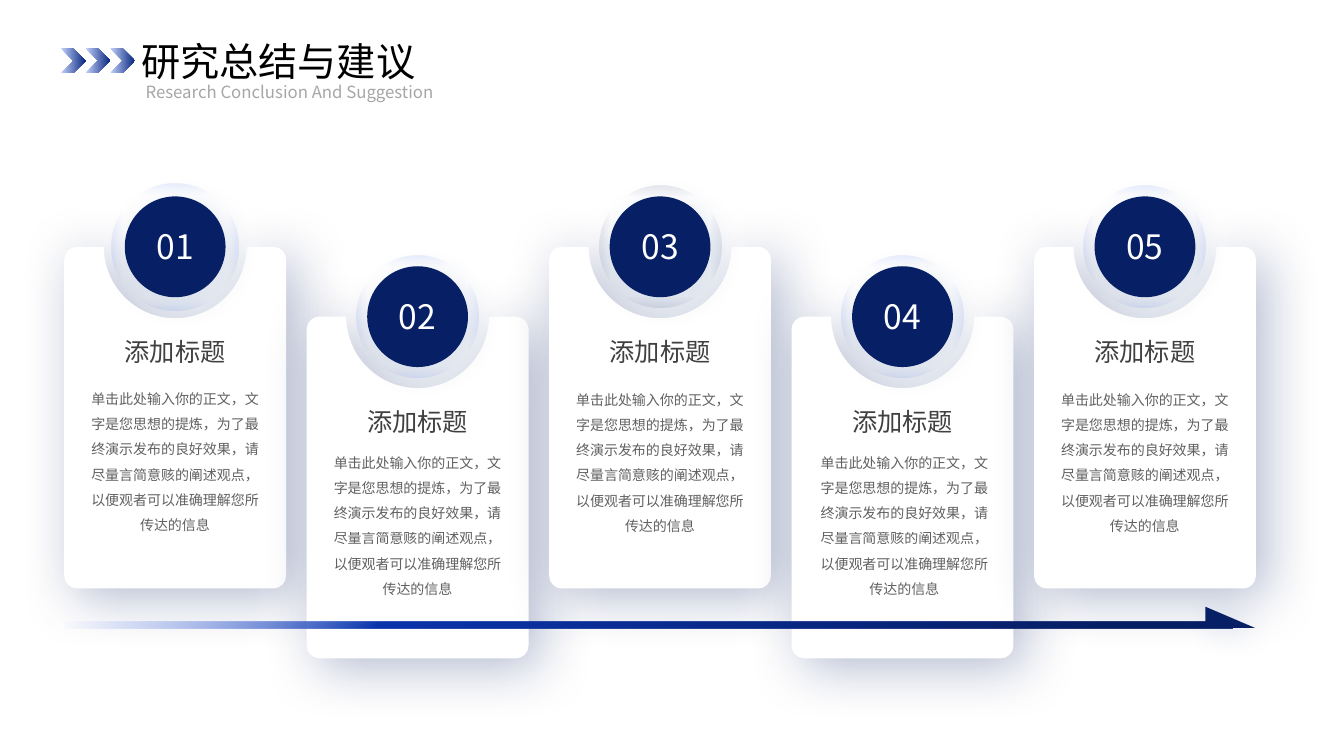
from lxml.etree import SubElement
from pptx import Presentation
from pptx.dml.color import RGBColor
from pptx.enum.shapes import MSO_SHAPE as SHAPE
from pptx.enum.text import MSO_ANCHOR as ANCHOR, MSO_AUTO_SIZE as FIT, PP_ALIGN as ALIGN
from pptx.oxml.ns import qn
from pptx.util import Cm, Pt

TITLE = "研究总结与建议"
SUB = "Research Conclusion And Suggestion"
HEAD = "添加标题"
BODY = ("单击此处输入你的正文，文字是您思想的提炼，为了最终演示发布的良好效果，"
        "请尽量言简意赅的阐述观点，以便观者可以准确理解您所传达的信息")

NAVY, WHITE, FONT = "071F65", "FFFFFF", "Noto Sans CJK SC"
# Gradient stops: position %, colour, opacity %
CHEVRON = [(0, "C3D1FB", 100), (100, "09277F", 100)]
BLUE = [(81, "708EEE", 0), (100, "2254F4", 10)]
DARK = [(81, NAVY, 0), (100, NAVY, 10)]
BAR = [(0, "7898F6", 0), (27, "0C35AC", 100), (89, NAVY, 100)]
# Shadows: colour, blur pt, opacity %, distance pt, angle
DEEP = (NAVY, 40, 29, 10, 40)
SOFT = ("0A438C", 20, 12, 6, 45)
# Cards: number, ring diameter, ring stops, body top, body shift (cm)
CARDS = [("01", 3.2, BLUE, 3.28, 0), ("02", 3.07, BLUE, 4.89, 0),
         ("03", 3.07, DARK, 3.3, 0), ("04", 3.07, BLUE, 4.89, 0.05),
         ("05", 3.07, BLUE, 3.3, 0)]
LEFT, TOP, WIDE, HIGH, STEP, DROP = 1.62, 6.22, 5.59, 8.61, 6.11, 1.76
ROUND, NOTCH, DISC = 0.32, 1.8, 2.54
BEND = 0.55  # control point share for a quarter circle

deck = Presentation()
deck.slide_width, deck.slide_height = Cm(33.87), Cm(19.05)
slide = deck.slides.add_slide(deck.slide_layouts[5])
shapes = slide.shapes


def rgb(code):
    return RGBColor.from_string(code)


def tint(parent, code, alpha):
    color = SubElement(parent, qn("a:srgbClr"), val=code)
    if alpha < 100:
        SubElement(color, qn("a:alpha"), val=str(alpha * 1000))


def blend(shape, stops, kind=None, focus=(0, 0, 0, 0)):
    """Fill with a gradient: linear, or a path kind around a focus box."""
    props = shape._element.spPr
    old = props.find(qn("a:solidFill"))
    grad = old.makeelement(qn("a:gradFill"), {"rotWithShape": "1"})
    props.replace(old, grad)
    rows = SubElement(grad, qn("a:gsLst"))
    for pos, code, alpha in stops:
        tint(SubElement(rows, qn("a:gs"), pos=str(pos * 1000)), code, alpha)
    if kind:
        way = SubElement(grad, qn("a:path"), path=kind)
        sides = {k: str(v * 1000) for k, v in zip("ltrb", focus)}
        SubElement(way, qn("a:fillToRect"), sides)
    else:
        SubElement(grad, qn("a:lin"), ang="0", scaled="0")


def style(shape, code=NAVY, shade=None):
    shape.fill.solid()
    shape.fill.fore_color.rgb = rgb(code)
    shape.line.fill.background()
    shape.shadow.inherit = False
    if shade:
        color, blur, alpha, dist, angle = shade
        effects = shape._element.spPr.find(qn("a:effectLst"))
        outer = SubElement(effects, qn("a:outerShdw"), blurRad=str(Pt(blur)),
                           dist=str(Pt(dist)), dir=str(angle * 60000),
                           algn="tl", rotWithShape="0")
        tint(outer, color, alpha)
    return shape


def draw(kind, x, y, w, h, shade=None):
    return style(shapes.add_shape(kind, Cm(x), Cm(y), Cm(w), Cm(h)), shade=shade)


def disc(x, y, size, shade=None):
    return draw(SHAPE.OVAL, x - size / 2, y - size / 2, size, size, shade)


def write(box, text, size, code, align, space=None, alpha=100, inset=None):
    frame = box.text_frame
    look = {"word_wrap": True, "auto_size": FIT.SHAPE_TO_FIT_TEXT,
            "vertical_anchor": ANCHOR.TOP}
    if inset is not None:
        look.update(margin_left=inset, margin_right=inset)
    for key, value in look.items():
        setattr(frame, key, value)
    para = frame.paragraphs[0]
    para.alignment, para.line_spacing = align, space
    run = para.add_run()
    run.text = text
    for key, value in {"size": Pt(size), "name": FONT}.items():
        setattr(run.font, key, value)
    run.font.color.rgb = rgb(code)
    props = run._r.get_or_add_rPr()
    if alpha < 100:
        SubElement(props.find(".//" + qn("a:srgbClr")), qn("a:alpha"),
                   val=str(alpha * 1000))
    east = props.makeelement(qn("a:ea"), {"typeface": FONT})
    props.find(qn("a:latin")).addnext(east)


def label(x, y, w, h, *args, **more):
    write(shapes.add_textbox(Cm(x), Cm(y), Cm(w), Cm(h)), *args, **more)


def card(x, y):
    """Rounded card with a half-round notch in its top side."""
    mid, r = WIDE / 2, ROUND
    a, b = mid - NOTCH, mid + NOTCH
    # Each step: end point, and the corner it bends around if curved
    steps = [((r, 0), None), ((a, 0), None),
             ((mid, NOTCH), (a, NOTCH)), ((b, 0), (b, NOTCH)),
             ((WIDE - r, 0), None), ((WIDE, r), (WIDE, 0)),
             ((WIDE, HIGH - r), None), ((WIDE - r, HIGH), (WIDE, HIGH)),
             ((r, HIGH), None), ((0, HIGH - r), (0, HIGH)),
             ((0, r), None), ((r, 0), (0, 0))]
    dots = [(Cm(x + u), Cm(y + v)) for (u, v), _ in steps]
    form = shapes.build_freeform(*dots[0])
    form.add_line_segments(dots[1:], close=True)
    shape = style(form.convert_to_shape(), WHITE, DEEP)
    lines = list(shape._element.iter(qn("a:lnTo")))
    for line, (start, _), (end, turn) in zip(lines, steps, steps[1:]):
        if turn:
            curve = line.makeelement(qn("a:cubicBezTo"), {})
            for p in (start, end):
                u, v = (m + BEND * (n - m) for m, n in zip(p, turn))
                SubElement(curve, qn("a:pt"), x=str(Cm(u)), y=str(Cm(v)))
            curve.append(line[0])
            line.getparent().replace(line, curve)


for i in range(3):
    blend(draw(SHAPE.CHEVRON, 1.54 + 0.62 * i, 1.22, 0.62, 0.62), CHEVRON)

title = shapes.title
spot = {"left": 3.56, "top": 0.81, "width": 8.81, "height": 1.45}
for key, value in spot.items():
    setattr(title, key, Cm(value))
write(title, TITLE, 28, "000000", ALIGN.JUSTIFY, inset=0)
label(3.67, 1.93, 10.44, 0.76, SUB, 12, "A6A6A6", ALIGN.LEFT, inset=0)

for i, (num, ring, stops, drop, shift) in enumerate(CARDS):
    x, y = LEFT + STEP * i, TOP + DROP * (i % 2)
    mid = x + WIDE / 2
    card(x, y)
    blend(disc(mid, y, ring), stops, "shape", (50, 50, 50, 50))
    disc(mid, y, DISC, SOFT)
    label(mid - 2.03, y + 2.14, 4.06, 1.02, HEAD, 18, "404040", ALIGN.CENTER)
    label(mid - 0.99, y - 0.65, 1.98, 1.27, num, 24, WHITE, ALIGN.CENTER)
    label(mid - 2.42 + shift, TOP + drop, 4.83, 4.04, BODY, 10, "3B3838",
          ALIGN.CENTER, space=1.5, alpha=80)

blend(draw(SHAPE.RECTANGLE, LEFT, 15.67, 29.44, 0.18), BAR, "circle", (0, 0, 100, 100))
tip = draw(SHAPE.ISOSCELES_TRIANGLE, 30.38, 15.29, 1.24, 0.53, SOFT)
tip.adjustments[0] = 0

deck.save("out.pptx")
